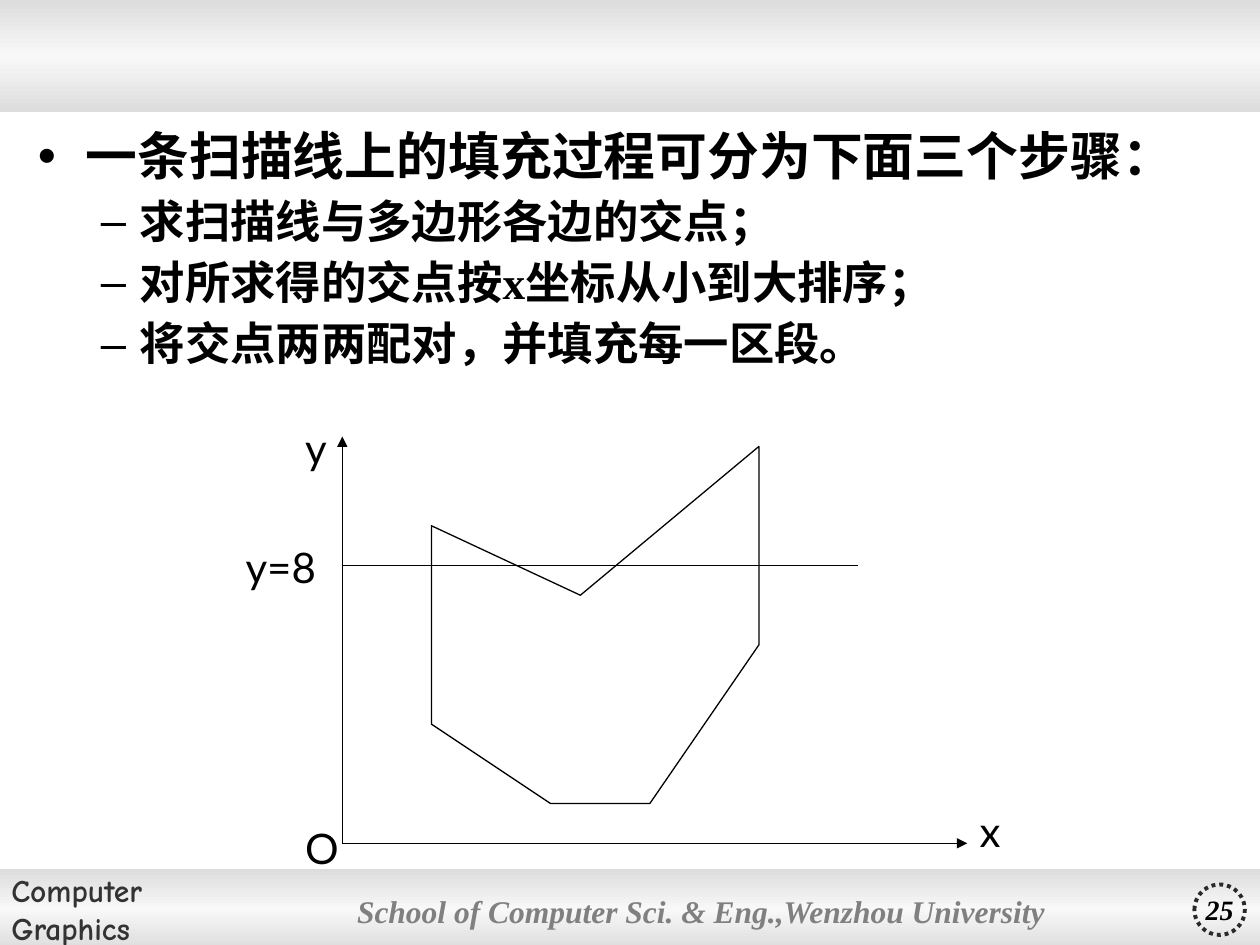
from lxml.etree import SubElement
from pptx import Presentation
from pptx.dml.color import RGBColor
from pptx.enum.dml import MSO_LINE
from pptx.enum.shapes import MSO_CONNECTOR, MSO_SHAPE
from pptx.enum.text import MSO_ANCHOR, MSO_AUTO_SIZE, PP_ALIGN
from pptx.oxml.ns import qn
from pptx.util import Cm, Inches, Pt

BLACK = RGBColor(0x00, 0x00, 0x00)
CHARCOAL = RGBColor(0x33, 0x33, 0x33)
RING = RGBColor(0x29, 0x29, 0x29)
GRAY = RGBColor(0x80, 0x80, 0x80)
BAND_EDGE = RGBColor(0xDD, 0xDD, 0xDD)
BAND_MIDDLE = RGBColor(0xF8, 0xF8, 0xF8)
SERIF = "Times New Roman"

STEPS = [
    (0, ["一条扫描线上的填充过程可分为下面三个步骤："]),
    (1, ["求扫描线与多边形各边的交点；"]),
    (1, ["对所求得的交点按", "x", "坐标从小到大排序；"]),
    (1, ["将交点两两配对，并填充每一区段。"]),
]
LEVELS = [
    {"bullet": "•", "size": 29.6, "before": 8, "margin": 0.38, "hang": 0.38},
    {"bullet": "–", "size": 25.9, "before": 7, "margin": 0.81, "hang": 0.31},
]
COURSE = ["Computer", "Graphics"]
SCHOOL = ["School of Computer Sci. & Eng.,Wenzhou University"]
PAGE = ["25"]

UNIT = Cm(0.2)
ORIGIN = (Cm(6.9), Cm(17))
POLYGON = [(9, 32), (9, 12), (21, 4), (31, 4), (42, 20), (42, 40), (24, 25)]
GRAPH_LINES = [
    ((0, 28), (52, 28), False),
    ((0, 0), (0, 41), True),
    ((0, 0), (63, 0), True),
]
GRAPH_LABELS = [
    ("y", -5, 43, 5),
    ("x", 63, 4.4, 5),
    ("y=8", -11, 31, 12),
    ("O", -5, 2.7, 5),
]


def graph_point(x, y):
    return int(ORIGIN[0] + x * UNIT), int(ORIGIN[1] - y * UNIT)


def style_run(paragraph, text, font_name, size, color, bold=False, italic=False):
    run = paragraph.add_run()
    run.text = text
    font = run.font
    font.name, font.size, font.bold, font.italic = font_name, Pt(size), bold, italic
    font.color.rgb = color


def add_panel(slide, kind, box):
    panel = slide.shapes.add_shape(kind, *map(Inches, box))
    panel.shadow.inherit = False
    panel.fill.background()
    panel.line.fill.background()
    return panel


def add_band(slide, box):
    band = add_panel(slide, MSO_SHAPE.RECTANGLE, box)
    band.fill.gradient()
    band.fill.gradient_angle = 90
    stops = band.fill._fill._gradFill.find(qn("a:gsLst"))
    for stop in list(stops):
        stops.remove(stop)
    for position, color in ((0, BAND_EDGE), (50, BAND_MIDDLE), (100, BAND_EDGE)):
        stop = SubElement(stops, qn("a:gs"), pos=str(position * 1000))
        SubElement(stop, qn("a:srgbClr"), val=str(color))
    return band


def write_lines(panel, lines, align, inset, *style):
    frame = panel.text_frame
    frame.word_wrap = True
    frame.vertical_anchor = MSO_ANCHOR.MIDDLE
    frame.margin_left = frame.margin_right = Inches(inset)
    frame.margin_top = frame.margin_bottom = 0
    for i, line in enumerate(lines):
        paragraph = frame.add_paragraph() if i else frame.paragraphs[0]
        paragraph.alignment = align
        style_run(paragraph, line, *style)


def add_frame(slide):
    footer = add_band(slide, (0, 6.9, 10, 0.63))
    write_lines(footer, COURSE, PP_ALIGN.LEFT, 0.09, "Comic Neue", 18, CHARCOAL, True)
    add_band(slide, (0, 0, 10, 0.89))
    school = add_panel(slide, MSO_SHAPE.ROUNDED_RECTANGLE, (2.78, 6.9, 5.99, 0.66))
    school.adjustments[0] = 0.02
    write_lines(school, SCHOOL, PP_ALIGN.LEFT, 0.05, SERIF, 18, GRAY, True, True)
    badge = add_panel(slide, MSO_SHAPE.OVAL, (9.48, 7.02, 0.4, 0.4))
    badge.line.color.rgb = RING
    badge.line.width = Pt(2.25)
    badge.line.dash_style = MSO_LINE.ROUND_DOT
    write_lines(badge, PAGE, PP_ALIGN.CENTER, 0, SERIF, 16, BLACK, True, True)


def add_graph(slide):
    corners = [graph_point(*corner) for corner in POLYGON]
    builder = slide.shapes.build_freeform(*corners[0])
    builder.add_line_segments(corners[1:], close=True)
    polygon = builder.convert_to_shape()
    polygon.shadow.inherit = False
    polygon.fill.background()
    polygon.line.color.rgb = BLACK
    polygon.line.width = Pt(0.75)

    for start, end, has_arrow in GRAPH_LINES:
        line = slide.shapes.add_connector(
            MSO_CONNECTOR.STRAIGHT, *graph_point(*start), *graph_point(*end))
        line.line.color.rgb = BLACK
        line.line.width = Pt(0.75)
        if has_arrow:
            SubElement(line.line._get_or_add_ln(), qn("a:tailEnd"), type="triangle")
        SubElement(line._element.spPr, qn("a:effectLst"))

    for text, x, y, width in GRAPH_LABELS:
        label = slide.shapes.add_textbox(*graph_point(x, y), width * UNIT, Inches(0.5))
        label.text_frame.word_wrap = True
        style_run(label.text_frame.paragraphs[0], text, "Lato", 24, BLACK)


def fill_body(body):
    body.left, body.top, body.width, body.height = map(Inches, (0.2, 0.99, 9.61, 2.28))
    frame = body.text_frame
    frame.auto_size = MSO_AUTO_SIZE.NONE
    frame.word_wrap = True
    frame.vertical_anchor = MSO_ANCHOR.TOP
    for i, (level, parts) in enumerate(STEPS):
        look = LEVELS[level]
        paragraph = frame.add_paragraph() if i else frame.paragraphs[0]
        paragraph.level = level
        paragraph.line_spacing = 0.9
        paragraph.space_before = Pt(look["before"] if i else 0)
        properties = paragraph._p.get_or_add_pPr()
        properties.set("marL", str(Inches(look["margin"])))
        properties.set("indent", str(-Inches(look["hang"])))
        bullet_color = SubElement(properties, qn("a:buClr"))
        SubElement(bullet_color, qn("a:srgbClr"), val=str(BLACK))
        SubElement(properties, qn("a:buChar"), char=look["bullet"])
        for part in parts:
            style_run(paragraph, part, SERIF, look["size"], BLACK, True)


def main():
    deck = Presentation()
    deck.slide_width, deck.slide_height = Inches(10), Inches(7.5)
    slide = deck.slides.add_slide(deck.slide_layouts[1])
    title = slide.shapes.title._element
    title.getparent().remove(title)
    add_frame(slide)
    add_graph(slide)
    fill_body(slide.placeholders[1])
    deck.save("out.pptx")


if __name__ == "__main__":
    main()
